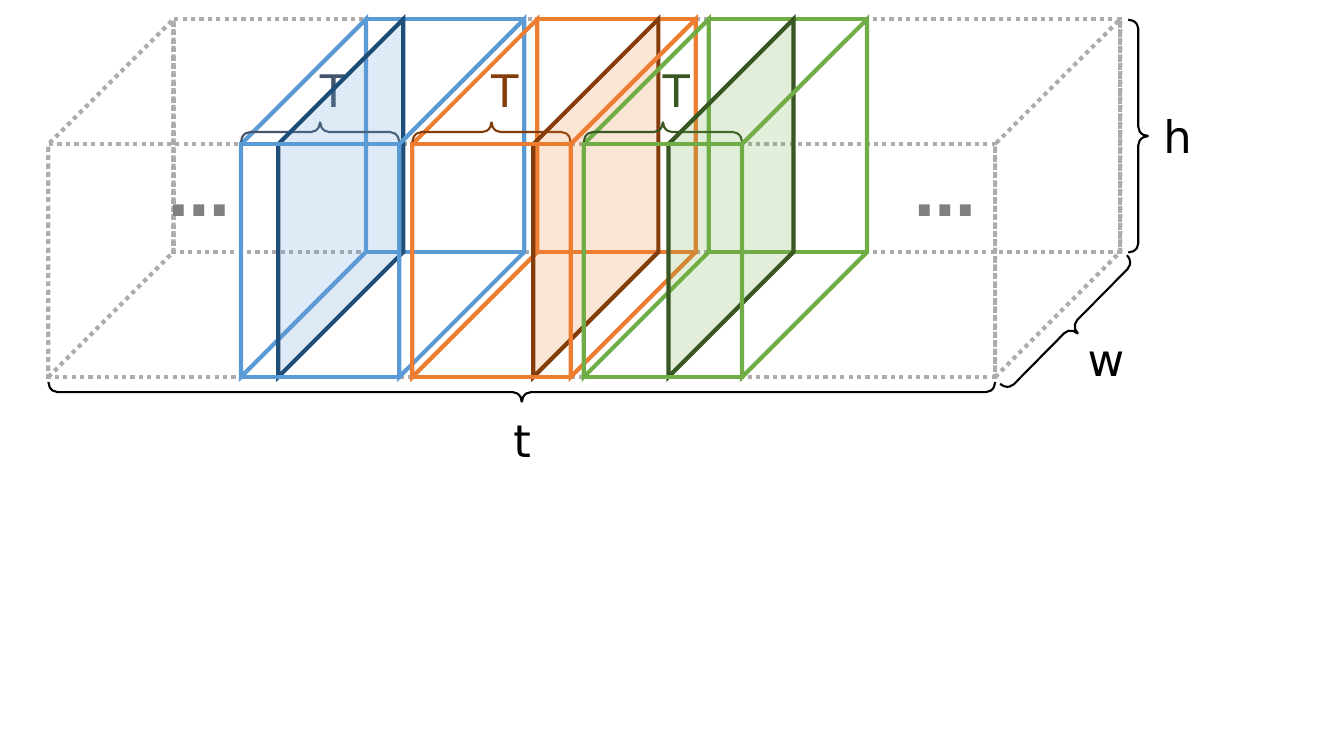
from lxml import etree
from pptx import Presentation
from pptx.dml.color import RGBColor
from pptx.enum.dml import MSO_LINE
from pptx.enum.shapes import MSO_SHAPE
from pptx.enum.text import MSO_AUTO_SIZE, PP_ALIGN
from pptx.oxml.ns import qn
from pptx.util import Inches, Pt

RECT, SKEW, BRACE = MSO_SHAPE.RECTANGLE, MSO_SHAPE.PARALLELOGRAM, MSO_SHAPE.RIGHT_BRACE
DOTTED, CENTER, GROW = MSO_LINE.ROUND_DOT, PP_ALIGN.CENTER, MSO_AUTO_SIZE.SHAPE_TO_FIT_TEXT
FONT = "DejaVu Sans"
COLORS = {
    "black": "000000", "outline": "AFABAB", "dots": "808080", "slate": "44546A",
    "blue": "5B9BD5", "navy": "1F4E79", "orange": "ED7D31", "brown": "843C0B",
    "green": "70AD47", "forest": "385723",
}
DEPTH = 1.24
HEIGHT = 2.31
THICKNESS = 0.2


def rgb(name):
    """Return a named colour."""
    return RGBColor.from_string(COLORS[name])


def outlined(shapes, kind, box, color, width=3, dash=None):
    """Add an unfilled shape with sharp corners."""
    s = shapes.add_shape(kind, *map(Inches, box))
    s.shadow.inherit = False
    s.fill.background()
    s.line.color.rgb = rgb(color)
    s.line.width = Pt(width)
    if dash is not None:
        s.line.dash_style = dash
    etree.SubElement(s.line._get_or_add_ln(), qn("a:miter"), lim="800000")
    return s


def side(shapes, x, y, color, dash=None):
    """Add a slanted side whose front edge starts at (x, y)."""
    length = HEIGHT + DEPTH
    left = x + (DEPTH - length) / 2
    top = y + (HEIGHT - DEPTH - length + HEIGHT) / 2 - (HEIGHT - length / 1) / 2 - DEPTH / 2
    s = outlined(shapes, SKEW, (left, top, length, DEPTH), color, dash=dash)
    s.adjustments[0] = 1
    s.rotation = 270
    s._element.spPr.xfrm.set("flipV", "1")
    return s


def rear_faces(shapes, box, color, dash=None):
    """Add the back face and left side of a prism with the given front box."""
    x, y, w, h = box
    outlined(shapes, RECT, (x + DEPTH, y - DEPTH, w, h), color, dash=dash)
    side(shapes, x, y, color, dash)


def near_faces(shapes, box, color, dash=None):
    """Add the front face and right side of a prism."""
    outlined(shapes, RECT, box, color, dash=dash)
    side(shapes, box[0] + box[2], box[1], color, dash)


def brace(shapes, cx, cy, length, rotation, color):
    """Add a brace of the given length centred on (cx, cy)."""
    box = (cx - THICKNESS / 2, cy - length / 2, THICKNESS, length)
    s = outlined(shapes, BRACE, box, color, 1.5)
    s.adjustments[0] = 0.456
    s.rotation = rotation


def label(shapes, box, text, color, size=32, bold=False):
    """Add a centred one-line label."""
    tf = shapes.add_textbox(*map(Inches, box)).text_frame
    tf.word_wrap = True
    tf.auto_size = GROW
    p = tf.paragraphs[0]
    p.text = text
    p.alignment = CENTER
    font = p.runs[0].font
    font.name, font.size, font.bold = FONT, Pt(size), bold
    font.color.rgb = rgb(color)


def volume(shapes, box):
    """Add the dotted volume with its t, w and h dimensions."""
    x, y, w, h = box
    rear_faces(shapes, box, "outline", DOTTED)
    near_faces(shapes, box, "outline", DOTTED)
    right, bottom = x + w, y + h
    dimensions = [
        ("t", x + w / 2, bottom + 0.15, w, 90, (-0.21, 0.16)),
        ("w", right + 0.75, bottom - 0.5, 1.79, 44.6, (0.07, 0)),
        ("h", right + 1.42, y - 0.08, h, 0, (0.15, -0.32)),
    ]
    for text, cx, cy, length, rotation, (dx, dy) in dimensions:
        group = shapes.add_group_shape().shapes
        brace(group, cx, cy, length, rotation, "black")
        label(group, (cx + dx, cy + dy, 0.43, 0.64), text, "black")


def time_slice(shapes, box, color, dark, text_color, plane_offset):
    """Add a prism of length T with a tinted plane inside it."""
    x, y, w, _ = box
    group = shapes.add_group_shape().shapes
    rear_faces(group, box, color)
    brace(group, x + w / 2, y - 0.12, w, 270, text_color)
    label(group, (x + 0.69, y - 0.86, 0.19, 0.64), "T", text_color)
    plane = side(group, x + plane_offset, y, dark)
    plane.fill.solid()
    plane.fill.fore_color.rgb = rgb(color)
    tint = plane._element.spPr.find(qn("a:solidFill")).find(qn("a:srgbClr"))
    etree.SubElement(tint, qn("a:alpha"), val="20000")
    near_faces(group, box, color)


prs = Presentation()
prs.slide_width, prs.slide_height = Inches(13.33), Inches(7.5)
shapes = prs.slides.add_slide(prs.slide_layouts[6]).shapes

volume(shapes, (0.48, 1.43, 9.39, HEIGHT))
slices = [
    ("blue", "navy", "slate", 0.37),
    ("orange", "brown", "brown", 1.2),
    ("green", "forest", "forest", 0.84),
]
for i, style in enumerate(slices):
    time_slice(shapes, (2.39 + 1.7 * i, 1.43, 1.57, HEIGHT), *style)
for x in (1.2, 8.6):
    label(shapes, (x, 1.49, 1.56, 0.84), "…", "dots", 44, True)

prs.save("out.pptx")
